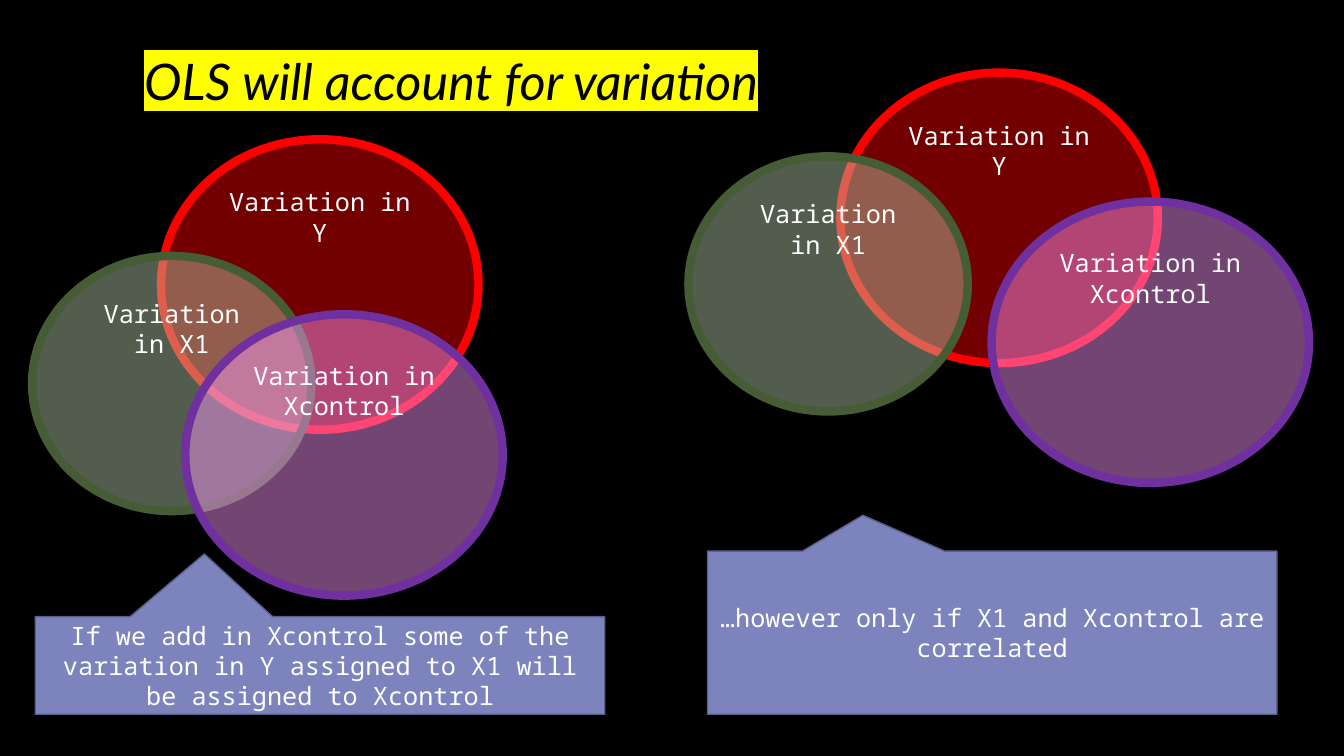
"""Build a slide of two Venn diagrams on how OLS accounts for variation."""
from lxml.etree import SubElement
from pptx import Presentation
from pptx.dml.color import RGBColor
from pptx.enum.shapes import MSO_SHAPE as Shape
from pptx.enum.text import MSO_ANCHOR as Anchor, PP_ALIGN as Align
from pptx.oxml.ns import qn
from pptx.util import Cm, Pt

COLORS = {
    "background": "000000", "title": "000000", "highlight": "FFFF00", "text": "FFFFFF",
    "y": "FF0000", "y_line": "FF0000",
    "x1": "B9CFAB", "x1_line": "455C35",
    "control": "FF99FF", "control_line": "7030A0",
    "callout": "7C83BD", "callout_line": "5C618C",
}
CIRCLES = {
    "y": ("Variation in Y", 8.0, 7.32),
    "x1": ("Variation in X1", 7.04, 6.43),
    "control": ("Variation in Xcontrol", 8.0, 7.09),
}
DIAGRAMS = [
    {"y": (4.06, 3.51), "x1": (0.81, 6.45), "control": (4.67, 7.92)},
    {"y": (21.18, 1.83), "x1": (17.35, 3.94), "control": (24.99, 5.08)},
]
CALLOUTS = [
    ("If we add in Xcontrol some of the variation in Y assigned to X1 will be assigned to Xcontrol",
     (0.89, 15.54, 14.35, 2.46), (-0.203, -1.142)),
    ("…however only if X1 and Xcontrol are correlated",
     (17.83, 13.89, 14.35, 4.11), (-0.227, -0.72)),
]


class SlideBuilder:
    """Hold the slide and its style, and draw each kind of element."""

    def __init__(self, slide):
        self.slide = slide
        self.title_font, self.body_font = "Lato", "Noto Sans Mono"
        fill = slide.background.fill
        fill.solid()
        fill.fore_color.rgb = self.color("background")

    def color(self, name):
        return RGBColor.from_string(COLORS[name])

    def style(self, paragraph, name, size, color):
        paragraph.font.name = name
        paragraph.font.size = Pt(size)
        paragraph.font.color.rgb = self.color(color)

    def title(self, text, box):
        frame = self.slide.shapes.add_textbox(*map(Cm, box)).text_frame
        frame.word_wrap = True
        frame.vertical_anchor = Anchor.BOTTOM
        paragraph = frame.paragraphs[0]
        paragraph.text = text
        paragraph.line_spacing = 1.2
        self.style(paragraph, self.title_font, 36, "title")
        paragraph.font.italic = True
        properties = paragraph.runs[0].font._element
        highlight = SubElement(properties, qn("a:highlight"))
        SubElement(highlight, qn("a:srgbClr"), val=COLORS["highlight"])

    def shape(self, kind, text, box, color, line_width, anchor):
        shape = self.slide.shapes.add_shape(kind, *map(Cm, box))
        shape.shadow.inherit = False
        shape.fill.solid()
        shape.fill.fore_color.rgb = self.color(color)
        shape.line.color.rgb = self.color(f"{color}_line")
        shape.line.width = Pt(line_width)
        frame = shape.text_frame
        frame.word_wrap = True
        frame.vertical_anchor = anchor
        paragraph = frame.paragraphs[0]
        paragraph.text = text
        paragraph.alignment = Align.CENTER
        self.style(paragraph, self.body_font, 18, "text")
        return shape

    def circle(self, name, left, top):
        text, width, height = CIRCLES[name]
        shape = self.shape(Shape.OVAL, text, (left, top, width, height), name, 6, Anchor.TOP)
        fill_color = shape._element.spPr.find(qn("a:solidFill"))[0]
        SubElement(fill_color, qn("a:alpha"), val="45000")

    def callout(self, text, box, tip):
        shape = self.shape(Shape.RECTANGULAR_CALLOUT, text, box, "callout", 1, Anchor.MIDDLE)
        shape.adjustments[0], shape.adjustments[1] = tip


def main():
    presentation = Presentation()
    presentation.slide_width, presentation.slide_height = Cm(33.87), Cm(19.05)
    builder = SlideBuilder(presentation.slides.add_slide(presentation.slide_layouts[6]))
    builder.title("OLS will account for variation", (3.38, 1.02, 26.37, 1.88))
    for diagram in DIAGRAMS:
        for name, position in diagram.items():
            builder.circle(name, *position)
    for callout in CALLOUTS:
        builder.callout(*callout)
    presentation.save("out.pptx")


if __name__ == "__main__":
    main()
